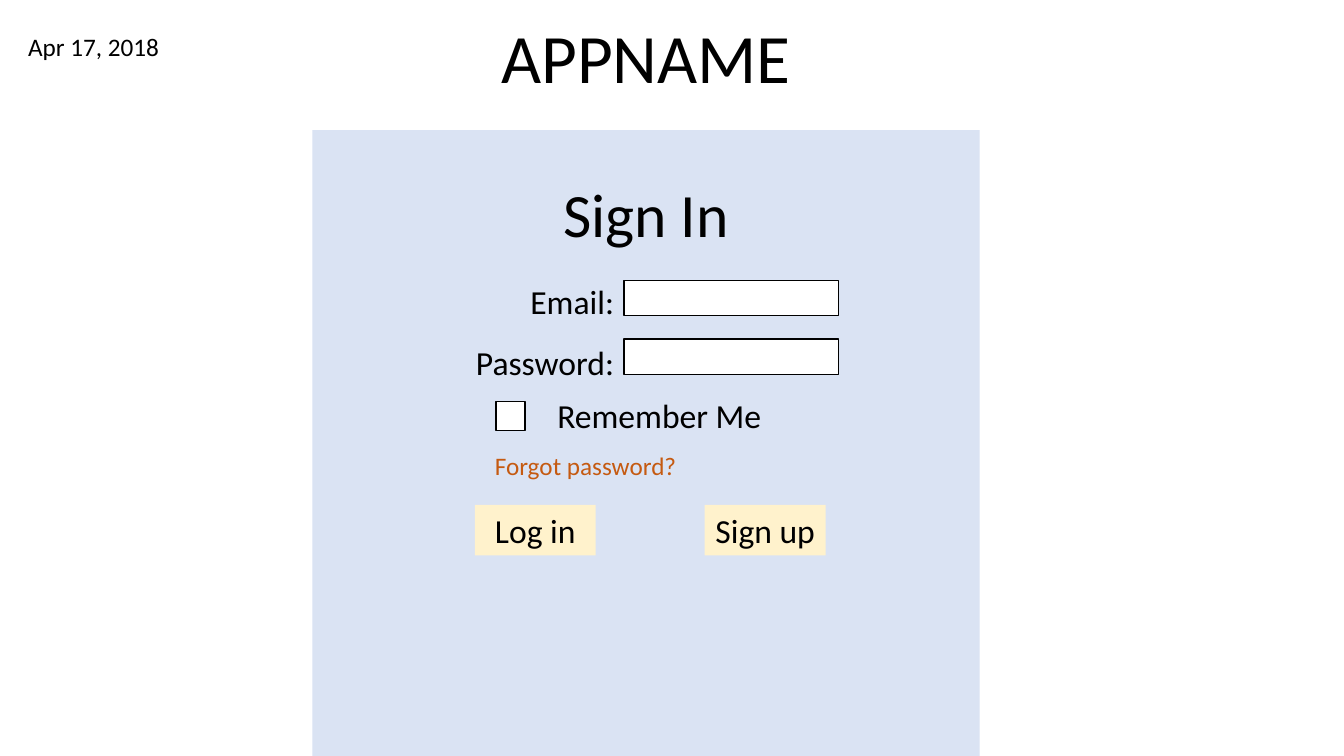
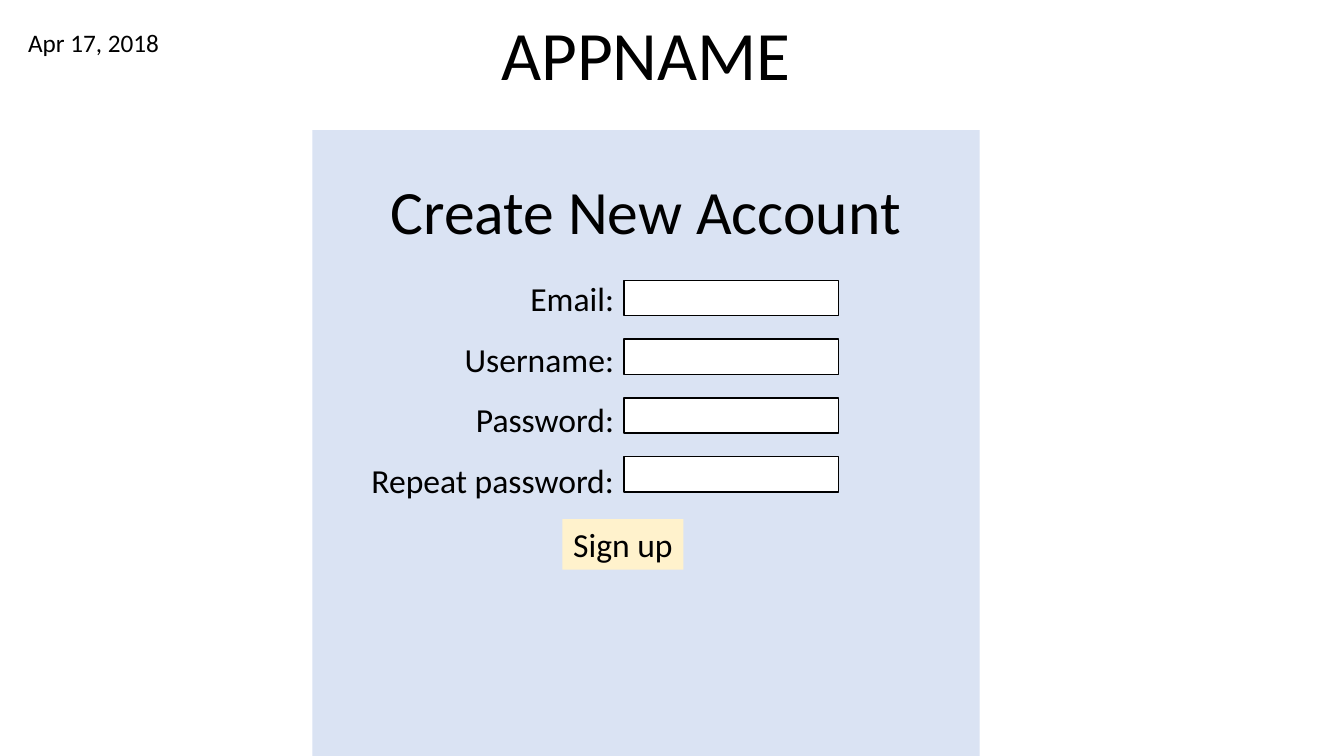
"""Build two wireframe slides: a sign-in form and an account form."""
from pptx import Presentation
from pptx.dml.color import RGBColor as Rgb
from pptx.enum.shapes import MSO_SHAPE as Shape
from pptx.enum.text import MSO_ANCHOR as Anchor, MSO_AUTO_SIZE as Fit, PP_ALIGN as Align
from pptx.util import Inches, Pt

INK = {"text": "000000", "panel": "DAE3F3", "field": "FFFFFF",
       "button": "FFF2CC", "link": "C55A11"}
FONT = "Calibri"
MID = 48.06
EDGE = 46.43
FIRST, STEP = 37.07, 7.78


class Deck:
    def __init__(self):
        self.show = Presentation()
        self.show.slide_width = Inches(13.33)
        self.show.slide_height = Inches(7.5)
        self.slide = None

    def place(self, x, y, wide, high):
        across, down = self.show.slide_width / 100, self.show.slide_height / 100
        return int(x * across), int(y * down), int(wide * across), int(high * down)

    def label(self, item, lines, size, align=Align.LEFT, anchor=Anchor.TOP,
              color="text", space=None, wrap=True):
        frame = item.text_frame
        frame.text = "\n".join(lines)
        frame.word_wrap = wrap
        frame.auto_size = Fit.NONE
        frame.vertical_anchor = anchor
        for para in frame.paragraphs:
            para.alignment = align
            para.line_spacing = space
            para.font.name = FONT
            para.font.size = Pt(size)
            para.font.color.rgb = Rgb.from_string(INK[color])

    def text(self, lines, box, size, **style):
        self.label(self.slide.shapes.add_textbox(*self.place(*box)), lines, size, **style)

    def rect(self, box, fill, edge=False):
        item = self.slide.shapes.add_shape(Shape.RECTANGLE, *self.place(*box))
        item.shadow.inherit = False
        item.fill.solid()
        item.fill.fore_color.rgb = Rgb.from_string(INK[fill])
        if edge:
            item.line.color.rgb = Rgb.from_string(INK["text"])
            item.line.width = Pt(1)
        else:
            item.line.fill.background()
        return item

    def button(self, line, x, y):
        self.label(self.rect((x, y, 9, 6.67), "button"), [line], 24,
                   Align.CENTER, Anchor.MIDDLE)

    def form(self, head, labels, top, date, anchor):
        self.slide = self.show.slides.add_slide(self.show.slide_layouts[5])
        self.rect((MID - 24.82, 17.2, 49.65, 82.8), "panel")
        title = self.slide.shapes.title
        title.left, title.top, title.width, title.height = self.place(
            MID - 12.75, 3.47, 25.5, 9.73)
        self.label(title, ["APPNAME"], 49.5, Align.CENTER, anchor, space=0.7)
        self.text(["Apr 17, 2018"], (1.35, date, 11.93, 5.33), 18)
        self.text([head], (MID - 20.2, top, 40.4, 11.2), 44, align=Align.CENTER)
        self.text(labels, (EDGE - 34.43, top + 11.2, 34.43, 8.2 * len(labels)), 24,
                  align=Align.RIGHT, space=1.5)
        for row in range(len(labels)):
            self.rect((EDGE, FIRST + row * STEP, 15.98, 4.67), "field", edge=True)


deck = Deck()

deck.form("Sign In", ["Email:", "Password:"], 22.67, 3.47, Anchor.BOTTOM)
deck.rect((36.9, 53.07, 2.18, 3.87), "field", edge=True)
deck.text(["Remember Me"], (40.73, 51.6, 16.88, 6.67), 24, wrap=False)
deck.text(["Forgot password?"], (36.08, 58.93, 25.43, 5.33), 18, color="link")
for line, x in (("Log in", 35.33), ("Sign up", 52.43)):
    deck.button(line, x, 66.8)

deck.form("Create New Account", ["Email:", "Username:", "Password:", "Repeat password:"],
          22.27, 2.93, Anchor.MIDDLE)
deck.button("Sign up", 41.85, 68.67)

deck.show.save("out.pptx")
